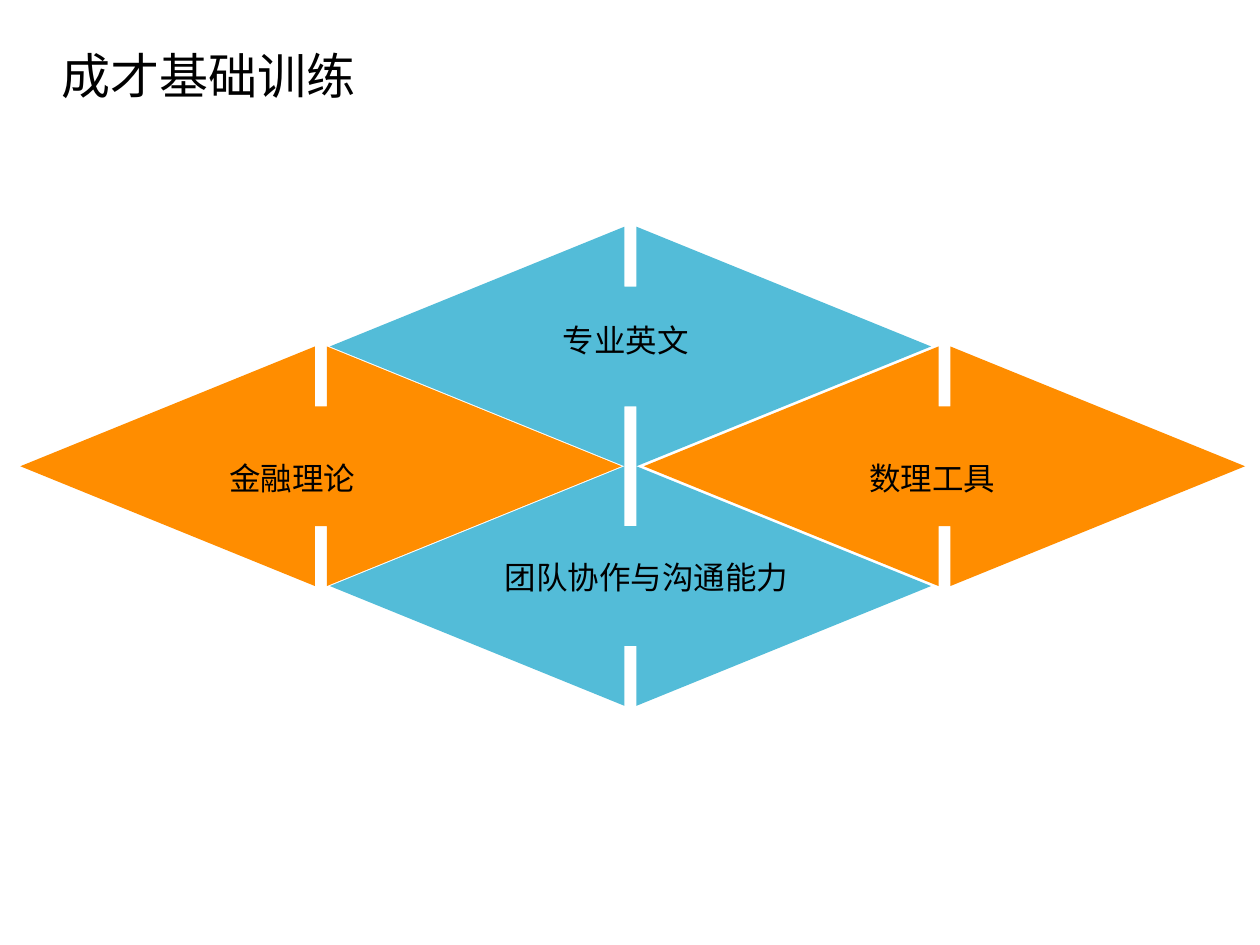
from dataclasses import dataclass

import pptx
import pptx.dml.color
import pptx.enum.shapes
import pptx.enum.text
import pptx.oxml.ns
import pptx.slide
import pptx.util
from lxml import etree
from pptx.util import Cm

COLORS = {"blue": "53BCD8", "orange": "FF8D00", "text": "000000"}
FONT = "Noto Sans CJK SC"

# Diamond grid, in centimetres: each row is half a diamond lower
DIAMOND_WIDTH, DIAMOND_HEIGHT = 12.12, 4.83
GRID_TOP = 4.57
LEFT_X, MIDDLE_X, RIGHT_X = 0.41, 6.65, 12.98


@dataclass
class Diamond:
    left: float
    row: int
    color: str


@dataclass
class Label:
    text: str
    left: float
    top: float
    width: float
    height: float = 1.02
    size: int = 18


DIAMONDS = [
    Diamond(MIDDLE_X, 0, "blue"),
    Diamond(MIDDLE_X, 2, "blue"),
    Diamond(LEFT_X, 1, "orange"),
    Diamond(RIGHT_X, 1, "orange"),
]

LABELS = [
    Label("成才基础训练", 0.99, 0.79, 6.5, 1.45, 28),
    Label("金融理论", 4.37, 9.12, 3.07),
    Label("数理工具", 17.27, 9.12, 3.07),
    Label("专业英文", 11.1, 6.35, 3.07),
    Label("团队协作与沟通能力", 9.93, 11.13, 6.27),
]


def rgb(name: str) -> pptx.dml.color.RGBColor:
    return pptx.dml.color.RGBColor.from_string(COLORS[name])


def draw_diamond(slide: pptx.slide.Slide, diamond: Diamond) -> None:
    arrow = slide.shapes.add_shape(
        pptx.enum.shapes.MSO_SHAPE.LEFT_RIGHT_ARROW,
        Cm(diamond.left),
        Cm(GRID_TOP + diamond.row * DIAMOND_HEIGHT / 2),
        Cm(DIAMOND_WIDTH),
        Cm(DIAMOND_HEIGHT),
    )
    arrow.adjustments[0] = 0.5
    arrow.adjustments[1] = 1.23
    arrow.shadow.inherit = False
    arrow.fill.solid()
    arrow.fill.fore_color.rgb = rgb(diamond.color)
    arrow.line.fill.background()


def draw_label(slide: pptx.slide.Slide, label: Label) -> None:
    box = slide.shapes.add_textbox(
        Cm(label.left), Cm(label.top), Cm(label.width), Cm(label.height)
    )
    frame = box.text_frame
    frame.text = label.text
    frame.word_wrap = False
    frame.auto_size = pptx.enum.text.MSO_AUTO_SIZE.SHAPE_TO_FIT_TEXT
    font = frame.paragraphs[0].runs[0].font
    font.size = pptx.util.Pt(label.size)
    font.name = FONT
    font.color.rgb = rgb("text")
    # Chinese characters take the East Asian typeface
    properties = frame.paragraphs[0].runs[0]._r.get_or_add_rPr()
    etree.SubElement(properties, pptx.oxml.ns.qn("a:ea"), typeface=FONT)


def main() -> None:
    deck = pptx.Presentation()
    deck.slide_width, deck.slide_height = Cm(25.4), Cm(19.05)
    slide = deck.slides.add_slide(deck.slide_layouts[6])

    # Interlocking diamonds
    for diamond in DIAMONDS:
        draw_diamond(slide, diamond)

    # Title and diamond captions
    for label in LABELS:
        draw_label(slide, label)

    deck.save("out.pptx")


if __name__ == "__main__":
    main()
